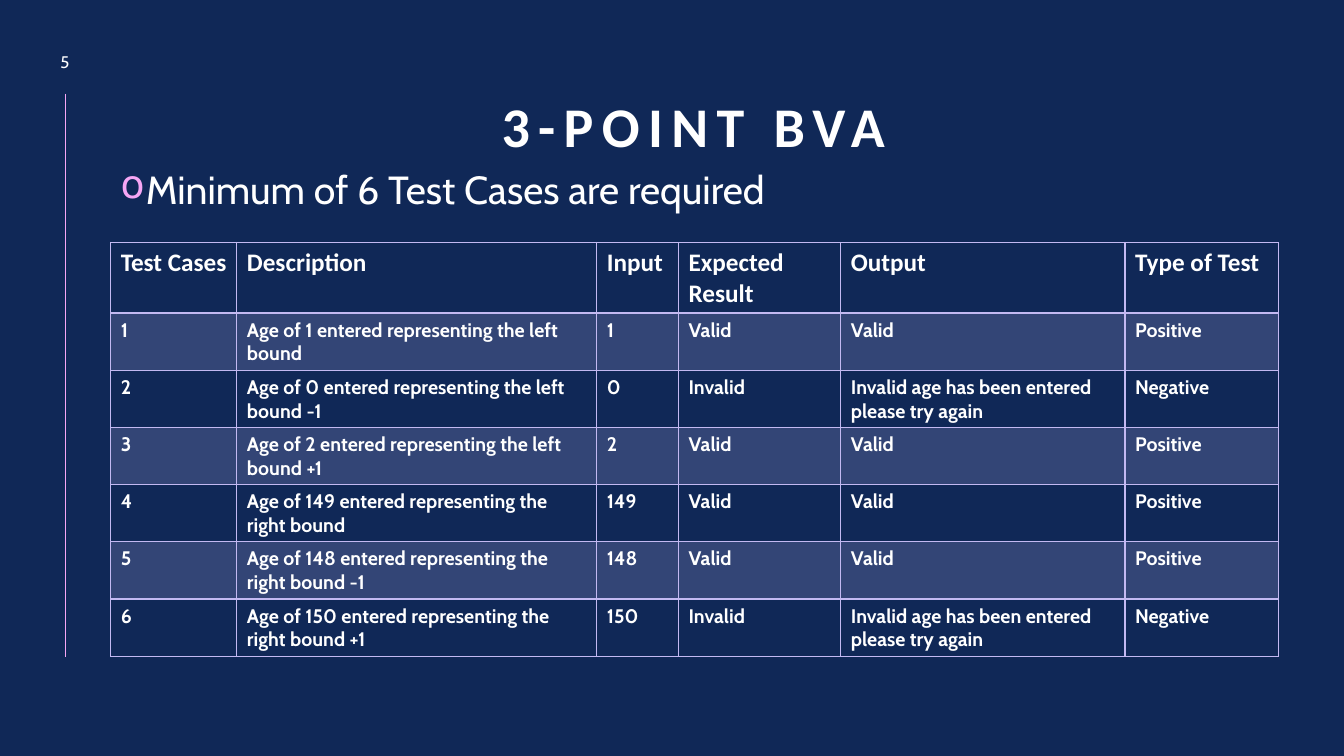
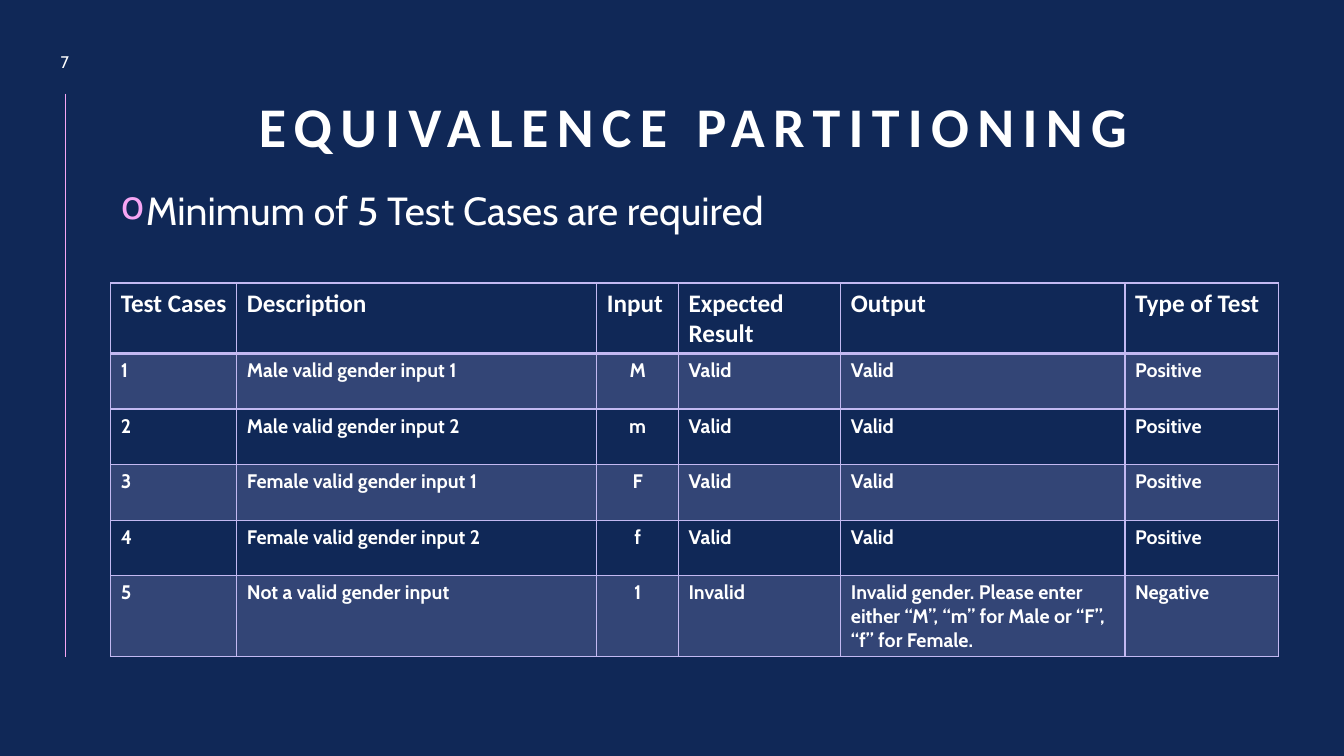
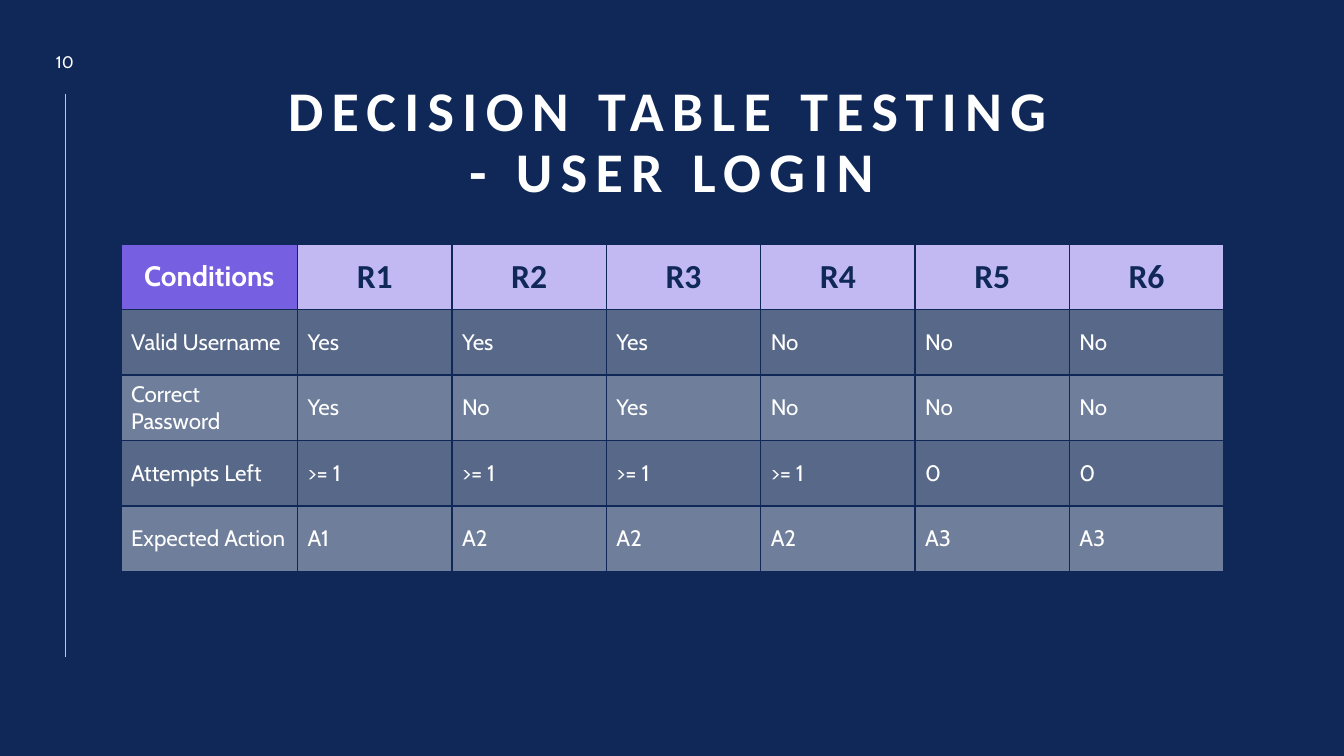
from dataclasses import dataclass

from lxml.etree import SubElement
from pptx import Presentation
from pptx.dml.color import RGBColor
from pptx.enum.text import MSO_ANCHOR, PP_ALIGN
from pptx.oxml.ns import qn
from pptx.slide import Slide
from pptx.table import _Cell
from pptx.text.text import _Paragraph
from pptx.util import Cm, Pt

NAVY = RGBColor(0x10, 0x28, 0x57)
WHITE = RGBColor(0xFF, 0xFF, 0xFF)
PINK = RGBColor(0xF6, 0xA6, 0xF4)
LILAC = RGBColor(0xC3, 0xB9, 0xF2)
VIOLET = RGBColor(0x76, 0x5F, 0xE1)
HEAD, BODY = "Calibri", "Cabin"
LEFT, MID = PP_ALIGN.LEFT, PP_ALIGN.CENTER


@dataclass(frozen=True)
class Type:
    size: float
    font: str = BODY
    bold: bool = False
    color: RGBColor = WHITE
    align: PP_ALIGN = LEFT
    track: int = 0


@dataclass(frozen=True)
class Box:
    """Left, top, width and height in centimetres."""
    x: float
    y: float
    w: float
    h: float


@dataclass(frozen=True)
class Fill:
    color: RGBColor
    alpha: int = 100


@dataclass(frozen=True)
class Look:
    """How one table cell is drawn; base is the width of its lower edge."""
    type: Type
    fill: Fill | None
    edge: RGBColor
    base: float = 1
    anchor: MSO_ANCHOR = MSO_ANCHOR.TOP


@dataclass(frozen=True)
class Grid:
    x: float
    y: float
    cols: list[float]
    rows: list[float]
    cells: list[list[str]]
    looks: list[list[Look]]


TITLE = Type(40, HEAD, True, align=MID, track=600)
NUMBER = Type(12, align=MID)
POINT = Type(28)
NUMBER_BOX = Box(0.91, 1.14, 1.45, 0.86)
TITLE_BOX = Box(2.36, 2.51, 30.23, 1.65)

CASE_HEAD = ["Test Cases", "Description", "Input", "Expected Result",
             "Output", "Type of Test"]
CASE_COLS = [3.18, 9.07, 2.06, 4.09, 7.16, 3.86]
RETRY = "Invalid age has been entered please try again"
AGES = [
    ("1", "left bound"), ("0", "left bound -1"), ("2", "left bound +1"),
    ("149", "right bound"), ("148", "right bound -1"),
    ("150", "right bound +1"),
]
GENDERS = [
    ("M", "Male valid gender input 1"), ("m", "Male valid gender input 2"),
    ("F", "Female valid gender input 1"),
    ("f", "Female valid gender input 2"), ("1", "Not a valid gender input"),
]
HINT = ("Invalid gender. Please enter either “M”, “m” for Male "
        "or “F”, “f” for Female.")
RULES = [
    ["Conditions", "R1", "R2", "R3", "R4", "R5", "R6"],
    ["Valid Username", "Yes", "Yes", "Yes", "No", "No", "No"],
    ["Correct Password", "Yes", "No", "Yes", "No", "No", "No"],
    ["Attempts Left", ">= 1", ">= 1", ">= 1", ">= 1", "0", "0"],
    ["Expected Action", "A1", "A2", "A2", "A2", "A3", "A3"],
]


def style(para: _Paragraph, type: Type) -> None:
    para.alignment = type.align
    for run in para.runs:
        font = run.font
        font.size, font.name, font.bold = Pt(type.size), type.font, type.bold
        font.color.rgb = type.color
        if type.track:
            run._r.get_or_add_rPr().set("spc", str(type.track))


def write(slide: Slide, box: Box, text: str, type: Type,
          anchor: MSO_ANCHOR, space: float = 1) -> _Paragraph:
    shape = slide.shapes.add_textbox(Cm(box.x), Cm(box.y), Cm(box.w), Cm(box.h))
    frame = shape.text_frame
    frame.word_wrap = True
    frame.vertical_anchor = anchor
    para = frame.paragraphs[0]
    para.text = text
    para.line_spacing = space
    style(para, type)
    return para


def add_point(slide: Slide, box: Box, text: str) -> None:
    para = write(slide, box, text, POINT, MSO_ANCHOR.TOP, 0.9)
    props = para._p.get_or_add_pPr()
    props.set("marL", str(Cm(0.64)))
    props.set("indent", str(-Cm(0.64)))
    tint = SubElement(props, qn("a:buClr"))
    SubElement(tint, qn("a:srgbClr"), val=str(PINK))
    SubElement(props, qn("a:buChar"), char="o")


def paint(cell: _Cell, look: Look) -> None:
    """Draw the edges first, then the fill, as the schema orders them."""
    props = cell._tc.get_or_add_tcPr()
    for side in "LRTB":
        width = look.base if side == "B" else 1
        edge = SubElement(props, qn(f"a:ln{side}"), w=str(Pt(width)))
        solid = SubElement(edge, qn("a:solidFill"))
        SubElement(solid, qn("a:srgbClr"), val=str(look.edge))
    if look.fill is None:
        cell.fill.background()
        return
    cell.fill.solid()
    cell.fill.fore_color.rgb = look.fill.color
    if look.fill.alpha < 100:
        tint = props.find(qn("a:solidFill")).find(qn("a:srgbClr"))
        SubElement(tint, qn("a:alpha"), val=str(look.fill.alpha * 1000))


def add_grid(slide: Slide, grid: Grid) -> None:
    table = slide.shapes.add_table(
        len(grid.rows), len(grid.cols), Cm(grid.x), Cm(grid.y),
        Cm(sum(grid.cols)), Cm(sum(grid.rows))).table
    table.first_row = table.horz_banding = False
    for col, width in zip(table.columns, grid.cols):
        col.width = Cm(width)
    for row, height in zip(table.rows, grid.rows):
        row.height = Cm(height)
    for r, (texts, looks) in enumerate(zip(grid.cells, grid.looks)):
        for c, (text, look) in enumerate(zip(texts, looks)):
            cell = table.cell(r, c)
            cell.vertical_anchor = look.anchor
            para = cell.text_frame.paragraphs[0]
            para.text = text
            style(para, look.type)
            paint(cell, look)


def case_grid(y: float, rows: list[float], cases: list[tuple[str, str]],
              bad: set[str], error: str, align: PP_ALIGN) -> Grid:
    """Lay out test cases; inputs in bad are the ones that get the error."""
    cells = [CASE_HEAD]
    looks = [[Look(Type(18, HEAD, True), None, LILAC, 2)] * len(CASE_HEAD)]
    for i, (value, note) in enumerate(cases, 1):
        ends = (["Invalid", error, "Negative"] if value in bad
                else ["Valid", "Valid", "Positive"])
        cells.append([str(i), note, value, *ends])
        fill = Fill(LILAC, 20) if i % 2 else None
        looks.append([
            Look(Type(14, bold=True, align=align if head == "Input" else LEFT),
                 fill, LILAC) for head in CASE_HEAD])
    return Grid(2.79, y, CASE_COLS, rows, cells, looks)


def rule_grid() -> Grid:
    mid = MSO_ANCHOR.MIDDLE
    count = len(RULES[0]) - 1
    first = Look(Type(20, bold=True, align=MID), Fill(VIOLET), NAVY, anchor=mid)
    rule = Look(Type(24, HEAD, True, NAVY, MID), Fill(LILAC), NAVY, anchor=mid)
    looks = [[first] + [rule] * count]
    for i in range(1, len(RULES)):
        fill = Fill(WHITE, 30 if i % 2 else 40)
        looks.append([Look(Type(16), fill, NAVY, anchor=mid)] * (count + 1))
    return Grid(3.05, 6.15, [4.45] + [3.89] * count, [1.65] * len(RULES),
                RULES, looks)


def add_page(deck: Presentation, number: int, title: str,
             box: Box = TITLE_BOX) -> Slide:
    slide = deck.slides.add_slide(deck.slide_layouts[6])
    rule = slide.shapes.add_connector(1, Cm(1.65), Cm(2.36), Cm(1.65), Cm(16.56))
    rule.line.color.rgb = PINK
    rule.line.width = Pt(0.5)
    SubElement(rule._element.spPr, qn("a:effectLst"))
    write(slide, box, title, TITLE, MSO_ANCHOR.BOTTOM, 0.9)
    write(slide, NUMBER_BOX, str(number), NUMBER, MSO_ANCHOR.MIDDLE)
    return slide


def main() -> None:
    deck = Presentation()
    deck.slide_width, deck.slide_height = Cm(33.87), Cm(19.05)
    back = deck.slide_master.background.fill
    back.solid()
    back.fore_color.rgb = NAVY

    page = add_page(deck, 5, "3-POINT BVA")
    add_point(page, Box(2.79, 4.17, 28.7, 1.32),
              "Minimum of 6 Test Cases are required")
    ages = [(age, f"Age of {age} entered representing the {bound}")
            for age, bound in AGES]
    add_grid(page, case_grid(6.11, [1.73] + [1.4] * 6, ages, {"0", "150"},
                             RETRY, LEFT))

    page = add_page(deck, 7, "EQUIVALENCE PARTITIONING")
    add_point(page, Box(2.79, 4.7, 29.41, 1.32),
              "Minimum of 5 Test Cases are required")
    add_grid(page, case_grid(7.13, [1.73] + [1.4] * 4 + [0.97], GENDERS, {"1"},
                             HINT, MID))

    page = add_page(deck, 10, "DECISION TABLE TESTING\n- USER LOGIN",
                    Box(3.05, 2.31, 27.76, 2.97))
    add_grid(page, rule_grid())
    deck.save("out.pptx")


if __name__ == "__main__":
    main()
